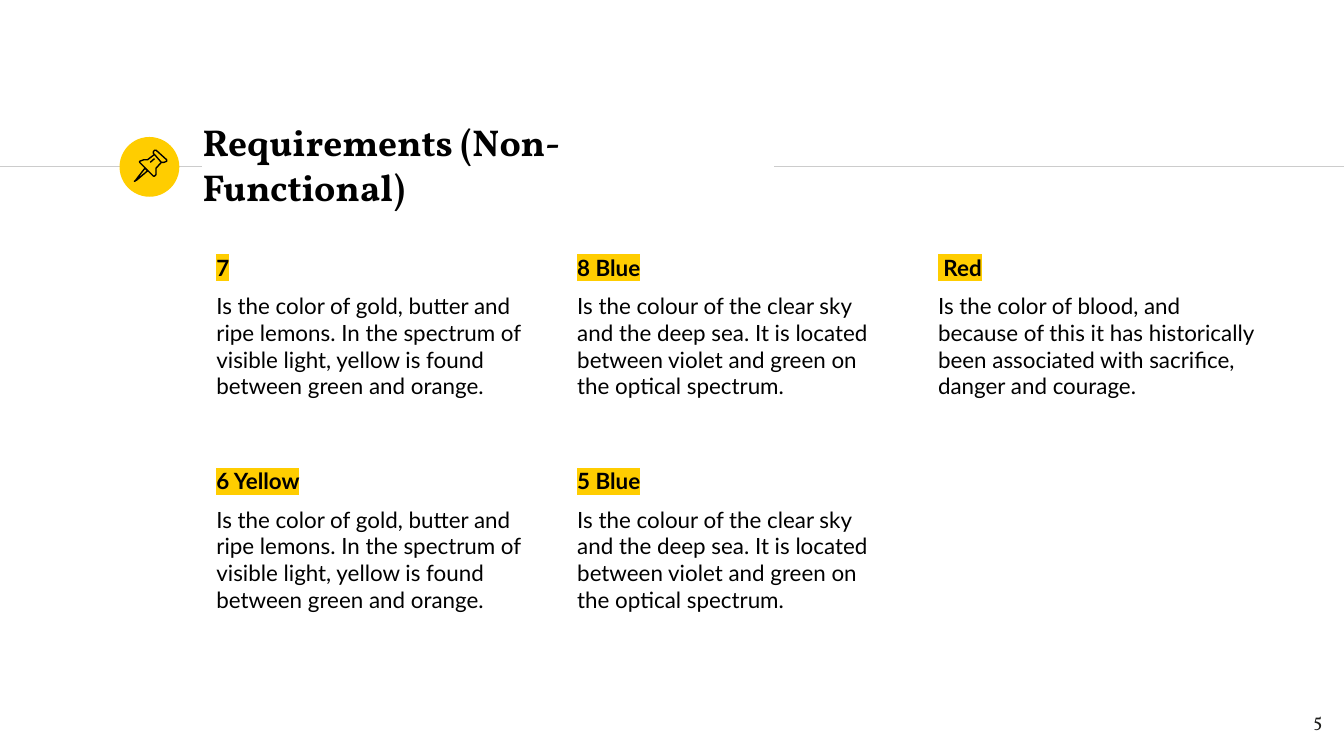
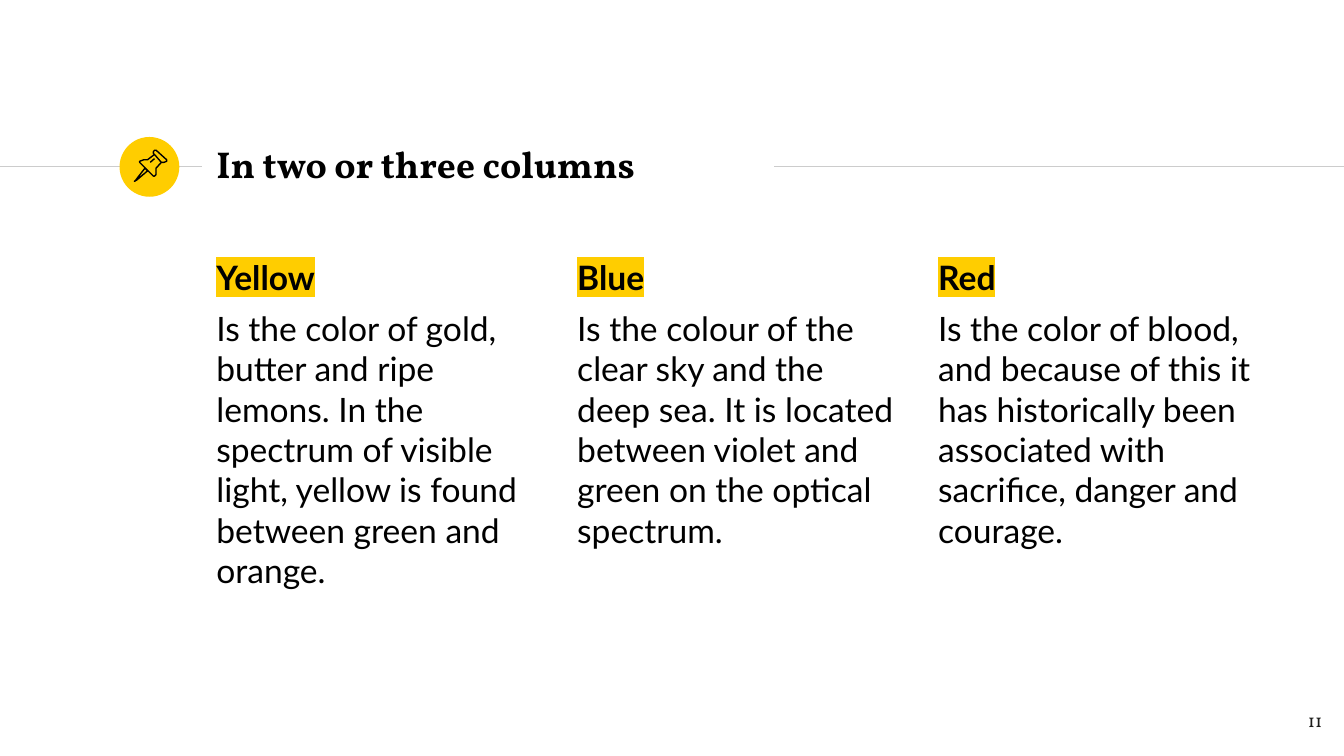
from dataclasses import dataclass

from lxml import etree
from pptx import Presentation
from pptx.dml.color import RGBColor
from pptx.enum.shapes import MSO_CONNECTOR, MSO_SHAPE
from pptx.enum.text import MSO_ANCHOR, PP_ALIGN
from pptx.oxml.ns import qn
from pptx.util import Cm, Pt

STRAIGHT = MSO_CONNECTOR.STRAIGHT
OVAL = MSO_SHAPE.OVAL
MIDDLE = MSO_ANCHOR.MIDDLE
RIGHT = PP_ALIGN.RIGHT

BLACK = RGBColor(0x00, 0x00, 0x00)
INK = RGBColor(0x1D, 0x1D, 0x1B)
GREY = RGBColor(0xCC, 0xCC, 0xCC)
YELLOW = RGBColor(0xFF, 0xCD, 0x00)

TITLE_FONT = "Vollkorn"
BODY_FONT = "Lato"
SLIDE_WIDTH, SLIDE_HEIGHT = 25.4, 14.29
INSET = 0.25
RULE_Y = 3.15
RULES = [(0, 3.81), (14.63, SLIDE_WIDTH)]
TITLE_RIGHT = 14.61
COLUMN_LEFT, COLUMN_PITCH, COLUMN_WIDTH = 3.84, 6.82, 6.48
ROW_PITCH = 4.04

GOLD_TEXT = (
    "Is the color of gold, butter and ripe lemons. In the spectrum of "
    "visible light, yellow is found between green and orange."
)
SKY_TEXT = (
    "Is the colour of the clear sky and the deep sea. It is located "
    "between violet and green on the optical spectrum."
)
BLOOD_TEXT = (
    "Is the color of blood, and because of this it has historically been "
    "associated with sacrifice, danger and courage."
)


@dataclass
class Outline:
    points: list[tuple[float, float]]
    closed: bool


@dataclass
class Topic:
    heading: str
    text: str
    column: int
    row: int = 0


@dataclass
class Page:
    title: str
    title_left: float
    number: str
    topic_top: float
    topic_height: float
    topic_size: int
    topics: list[Topic]


PIN = [
    Outline([(2.74, 3.18), (2.57, 3.4), (2.54, 3.43), (2.59, 3.4), (2.79, 3.23)], True),
    Outline(
        [(2.92, 2.92), (3.05, 3.07), (3.1, 3.07), (3.15, 3.05), (3.15, 3.02),
         (2.95, 2.84), (2.92, 2.84), (2.9, 2.87), (2.9, 2.9)],
        True,
    ),
    Outline(
        [(2.92, 2.92), (2.79, 3.02), (2.72, 3.02), (2.64, 3.05), (2.64, 3.07),
         (2.9, 3.33), (2.92, 3.33), (2.95, 3.3), (2.95, 3.18), (3.05, 3.07)],
        False,
    ),
    Outline([(2.84, 3.07), (2.92, 3.0)], False),
]

PAGES = [
    Page(
        "Requirements (Non-Functional)", 3.58, "5", 4.55, 3.35, 12,
        [
            Topic("7", GOLD_TEXT, 0),
            Topic("8 Blue", SKY_TEXT, 1),
            Topic(" Red", BLOOD_TEXT, 2),
            Topic("6 Yellow", GOLD_TEXT, 0, 1),
            Topic("5 Blue", SKY_TEXT, 1, 1),
        ],
    ),
    Page(
        "In two or three columns", COLUMN_LEFT, "11", 4.6, 8.66, 18,
        [
            Topic("Yellow", GOLD_TEXT, 0),
            Topic("Blue", SKY_TEXT, 1),
            Topic("Red", BLOOD_TEXT, 2),
        ],
    ),
]


def add_text_frame(slide, left: float, top: float, width: float, height: float):
    tf = slide.shapes.add_textbox(Cm(left), Cm(top), Cm(width), Cm(height)).text_frame
    tf.word_wrap = True
    tf.margin_left = tf.margin_right = Cm(INSET)
    tf.margin_top = tf.margin_bottom = Cm(INSET)
    return tf


def format_run(r, font: str, size: int, color: RGBColor, bold: bool = False) -> None:
    r.font.name = font
    r.font.size = Pt(size)
    r.font.bold = bold
    r.font.color.rgb = color


def highlight(r, color: RGBColor) -> None:
    mark = etree.Element(qn("a:highlight"))
    etree.SubElement(mark, qn("a:srgbClr"), val=str(color))
    r._r.get_or_add_rPr().find(qn("a:solidFill")).addnext(mark)


def add_rule(slide, start: float, end: float) -> None:
    line = slide.shapes.add_connector(STRAIGHT, Cm(start), Cm(RULE_Y), Cm(end), Cm(RULE_Y))
    line.line.color.rgb = GREY
    line.line.width = Pt(0.75)
    etree.SubElement(line._element.spPr, qn("a:effectLst"))


def add_badge(slide) -> None:
    sp = slide.shapes.add_shape(OVAL, Cm(2.26), Cm(2.59), Cm(1.13), Cm(1.13))
    sp.shadow.inherit = False
    sp.fill.solid()
    sp.fill.fore_color.rgb = YELLOW
    sp.line.fill.background()


def add_pin(slide) -> None:
    group = slide.shapes.add_group_shape()
    for outline in PIN:
        start, *rest = [(Cm(x), Cm(y)) for x, y in outline.points]
        builder = group.shapes.build_freeform(*start)
        builder.add_line_segments(rest, close=outline.closed)
        sp = builder.convert_to_shape()
        sp.shadow.inherit = False
        sp.fill.background()
        sp.line.color.rgb = BLACK
        sp.line.width = Pt(0.75)


def add_title(slide, page: Page) -> None:
    width = TITLE_RIGHT - page.title_left
    tf = add_text_frame(slide, page.title_left, 2.49, width, 1.22)
    tf.vertical_anchor = MIDDLE
    tf.text = page.title
    format_run(tf.paragraphs[0].runs[0], TITLE_FONT, 20, BLACK, True)


def add_topic(slide, page: Page, topic: Topic) -> None:
    left = COLUMN_LEFT + topic.column * COLUMN_PITCH
    top = page.topic_top + topic.row * ROW_PITCH
    tf = add_text_frame(slide, left, top, COLUMN_WIDTH, page.topic_height)
    tf.text = topic.heading
    heading = tf.paragraphs[0].runs[0]
    format_run(heading, BODY_FONT, page.topic_size, BLACK, True)
    highlight(heading, YELLOW)
    p = tf.add_paragraph()
    p.text = topic.text
    p.space_before = Pt(6)
    format_run(p.runs[0], BODY_FONT, page.topic_size, BLACK)


def add_page_number(slide, number: str) -> None:
    tf = add_text_frame(slide, 23.72, 13.18, 1.52, 1.09)
    tf.text = number
    p = tf.paragraphs[0]
    p.alignment = RIGHT
    format_run(p.runs[0], TITLE_FONT, 10, INK)


def add_page(prs, page: Page) -> None:
    slide = prs.slides.add_slide(prs.slide_layouts[6])
    for start, end in RULES:
        add_rule(slide, start, end)
    add_badge(slide)
    add_title(slide, page)
    for topic in page.topics:
        add_topic(slide, page, topic)
    add_pin(slide)
    add_page_number(slide, page.number)


def main() -> None:
    prs = Presentation()
    prs.slide_width = Cm(SLIDE_WIDTH)
    prs.slide_height = Cm(SLIDE_HEIGHT)
    for page in PAGES:
        add_page(prs, page)
    prs.save("out.pptx")


if __name__ == "__main__":
    main()
